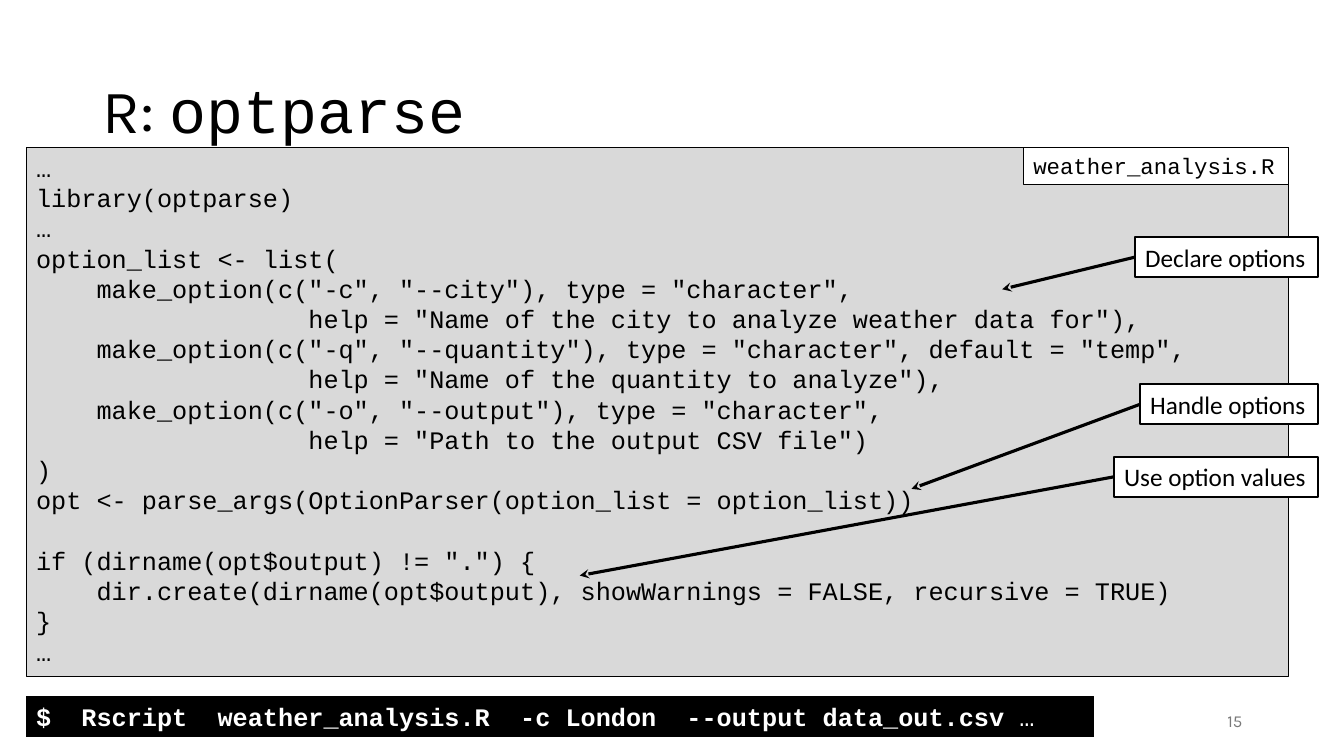
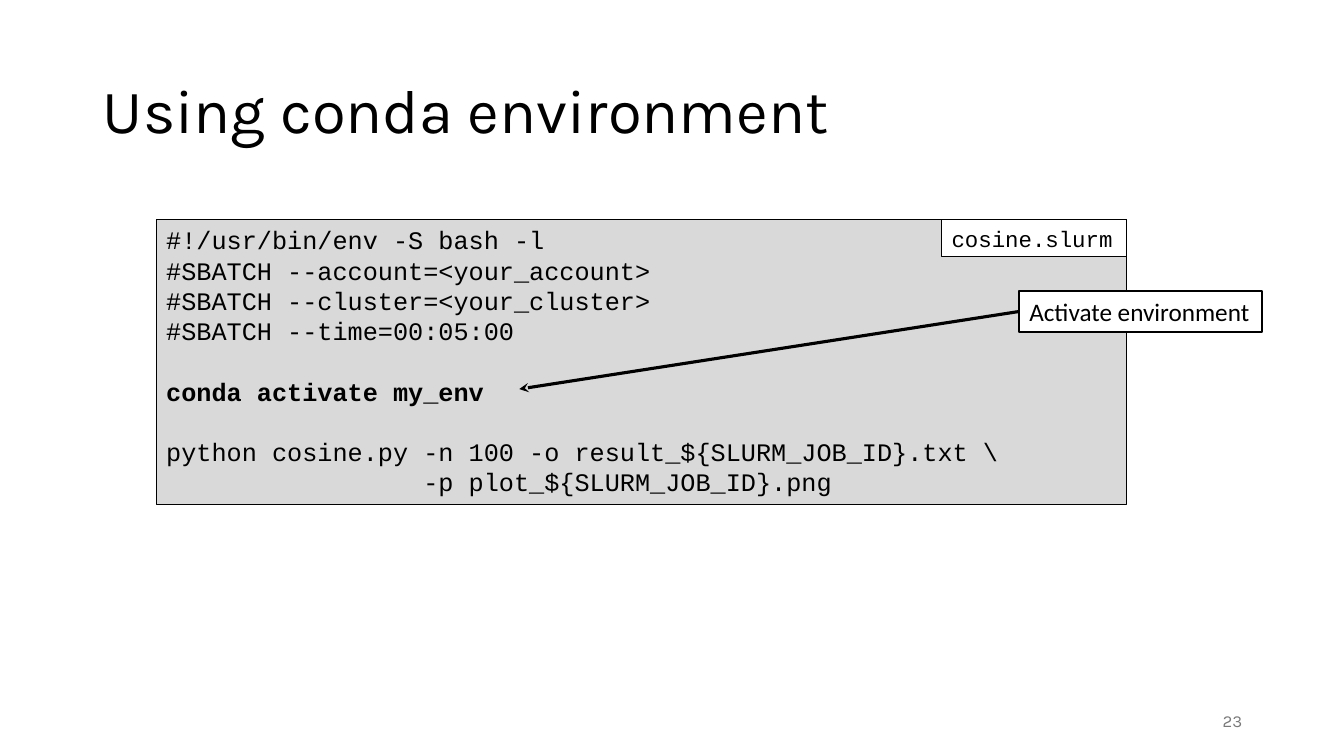
"""Build two slides on option handling and conda environments."""
from lxml import etree
from pptx import Presentation
from pptx.dml.color import RGBColor
from pptx.enum.shapes import MSO_CONNECTOR, MSO_SHAPE
from pptx.enum.text import MSO_ANCHOR, MSO_AUTO_SIZE, PP_ALIGN
from pptx.oxml.ns import qn
from pptx.util import Inches, Pt

RECTANGLE = MSO_SHAPE.RECTANGLE
STRAIGHT = MSO_CONNECTOR.STRAIGHT
TOP, MIDDLE = MSO_ANCHOR.TOP, MSO_ANCHOR.MIDDLE
LEFT, RIGHT = PP_ALIGN.LEFT, PP_ALIGN.RIGHT
FIT_SHAPE, NO_FIT = MSO_AUTO_SIZE.SHAPE_TO_FIT_TEXT, MSO_AUTO_SIZE.NONE

BLACK = RGBColor(0x00, 0x00, 0x00)
WHITE = RGBColor(0xFF, 0xFF, 0xFF)
PANEL_GREY = RGBColor(0xD9, 0xD9, 0xD9)
NUMBER_GREY = RGBColor(0x79, 0x79, 0x79)

HEADING_FONT = "Karla"
CODE_FONT = "Courier New"
LABEL_FONT = "Calibri"
CODE_LINE = Pt(21.6)
TITLE_ONLY = 5
LABEL_HEIGHT = 0.4
TAG_HEIGHT = 0.37

R_CODE = """…
library(optparse)
…
option_list <- list(
    make_option(c("-c", "--city"), type = "character",
                  help = "Name of the city to analyze weather data for"),
    make_option(c("-q", "--quantity"), type = "character", default = "temp",
                  help = "Name of the quantity to analyze"),
    make_option(c("-o", "--output"), type = "character",
                  help = "Path to the output CSV file")
)
opt <- parse_args(OptionParser(option_list = option_list))

if (dirname(opt$output) != ".") {
    dir.create(dirname(opt$output), showWarnings = FALSE, recursive = TRUE)
}
…"""

SLURM_CODE = """#!/usr/bin/env -S bash -l
#SBATCH --account=<your_account>
#SBATCH --cluster=<your_cluster>
#SBATCH --time=00:05:00

conda activate my_env

python cosine.py -n 100 -o result_${SLURM_JOB_ID}.txt \\
                 -p plot_${SLURM_JOB_ID}.png"""


def add_span(para, text, font, size, color=BLACK, bold=False):
    """Append a formatted run to a paragraph."""
    span = para.add_run()
    span.text = text
    span.font.name = font
    span.font.size = Pt(size)
    span.font.color.rgb = color
    span.font.bold = bold


def add_page(deck, title_parts, number):
    """Add a slide with its title and slide number."""
    page = deck.slides.add_slide(deck.slide_layouts[TITLE_ONLY])
    title = page.shapes.title
    title.left, title.top = Inches(0.92), Inches(0.4)
    title.width, title.height = Inches(11.5), Inches(1.45)
    frame = title.text_frame
    frame.vertical_anchor = MIDDLE
    frame.auto_size = NO_FIT
    para = frame.paragraphs[0]
    para.alignment = LEFT
    para.line_spacing = 0.9
    for text, font in title_parts:
        add_span(para, text, font, 44)

    box = page.shapes.add_textbox(Inches(9.42), Inches(6.95), Inches(3), Inches(0.4))
    box.text_frame.word_wrap = True
    box.text_frame.vertical_anchor = MIDDLE
    para = box.text_frame.paragraphs[0]
    para.alignment = RIGHT
    add_span(para, number, HEADING_FONT, 12, NUMBER_GREY)
    return page


def add_box(page, left, top, width, height, fill, line_width=0.75, wrap=True):
    """Add a black-outlined rectangle and return its text frame."""
    box = page.shapes.add_shape(
        RECTANGLE, Inches(left), Inches(top), Inches(width), Inches(height))
    box.shadow.inherit = False
    box.fill.solid()
    box.fill.fore_color.rgb = fill
    box.line.color.rgb = BLACK
    box.line.width = Pt(line_width)
    frame = box.text_frame
    frame.word_wrap = wrap
    frame.auto_size = FIT_SHAPE
    frame.vertical_anchor = TOP
    frame.paragraphs[0].alignment = LEFT
    return frame


def add_code_panel(page, left, top, width, height, code, file_name, tag_width, bold_line=None):
    """Add a code listing with a file name tag in its top right corner."""
    frame = add_box(page, left, top, width, height, PANEL_GREY)
    para = frame.paragraphs[0]
    previous = None
    for line in code.splitlines():
        if line:
            if previous is not None:
                para = frame.add_paragraph()
                para.alignment = LEFT
            if previous == "":
                para.space_before = CODE_LINE
            add_span(para, line, CODE_FONT, 18, bold=line == bold_line)
        previous = line
    tag = add_box(page, left + width - tag_width, top, tag_width, TAG_HEIGHT, WHITE, wrap=False)
    add_span(tag.paragraphs[0], file_name, CODE_FONT, 16)


def add_callout(page, text, left, top, width, target):
    """Add a label with an arrow from its left edge to the target point."""
    frame = add_box(page, left, top, width, LABEL_HEIGHT, WHITE, 1.5, wrap=False)
    add_span(frame.paragraphs[0], text, LABEL_FONT, 18)
    target_x, target_y = target
    arrow = page.shapes.add_connector(
        STRAIGHT, Inches(left), Inches(top + LABEL_HEIGHT / 2),
        Inches(target_x), Inches(target_y))
    arrow.line.color.rgb = BLACK
    arrow.line.width = Pt(2.25)
    etree.SubElement(arrow.line._get_or_add_ln(), qn("a:tailEnd"), type="stealth")
    etree.SubElement(arrow._element.spPr, qn("a:effectLst"))


def add_command(page, command, rest):
    """Add a black terminal bar holding a command."""
    para = add_box(page, 0.26, 6.91, 10.59, LABEL_HEIGHT, BLACK).paragraphs[0]
    add_span(para, command, CODE_FONT, 18, WHITE, bold=True)
    add_span(para, rest, CODE_FONT, 18, WHITE)


def build_optparse_page(deck):
    """Build the slide on optparse in R."""
    page = add_page(deck, [("R: ", HEADING_FONT), ("optparse", CODE_FONT)], "15")
    add_code_panel(page, 0.26, 1.46, 12.52, 5.25, R_CODE, "weather_analysis.R", 2.63)
    callouts = [
        ("Declare options", 11.26, 2.35, 1.81, (9.94, 2.87)),
        ("Handle options", 11.31, 3.81, 1.76, (9.04, 4.85)),
        ("Use option values", 11.05, 4.53, 2.02, (5.75, 5.71)),
    ]
    for callout in callouts:
        add_callout(page, *callout)
    add_command(page, "$  Rscript  weather_analysis.R  -c London  --output data_out.csv ", "…")


def build_conda_page(deck):
    """Build the slide on conda environments."""
    page = add_page(deck, [("Using conda environment", HEADING_FONT)], "23")
    add_code_panel(page, 1.55, 2.18, 9.62, 2.83, SLURM_CODE, "cosine.slurm", 1.83,
                   bold_line="conda activate my_env")
    add_callout(page, "Activate environment", 10.11, 2.89, 2.41, (5.15, 3.86))


def main():
    """Build and save the deck."""
    deck = Presentation()
    deck.slide_width, deck.slide_height = Inches(13.33), Inches(7.5)
    build_optparse_page(deck)
    build_conda_page(deck)
    deck.save("out.pptx")


if __name__ == "__main__":
    main()
